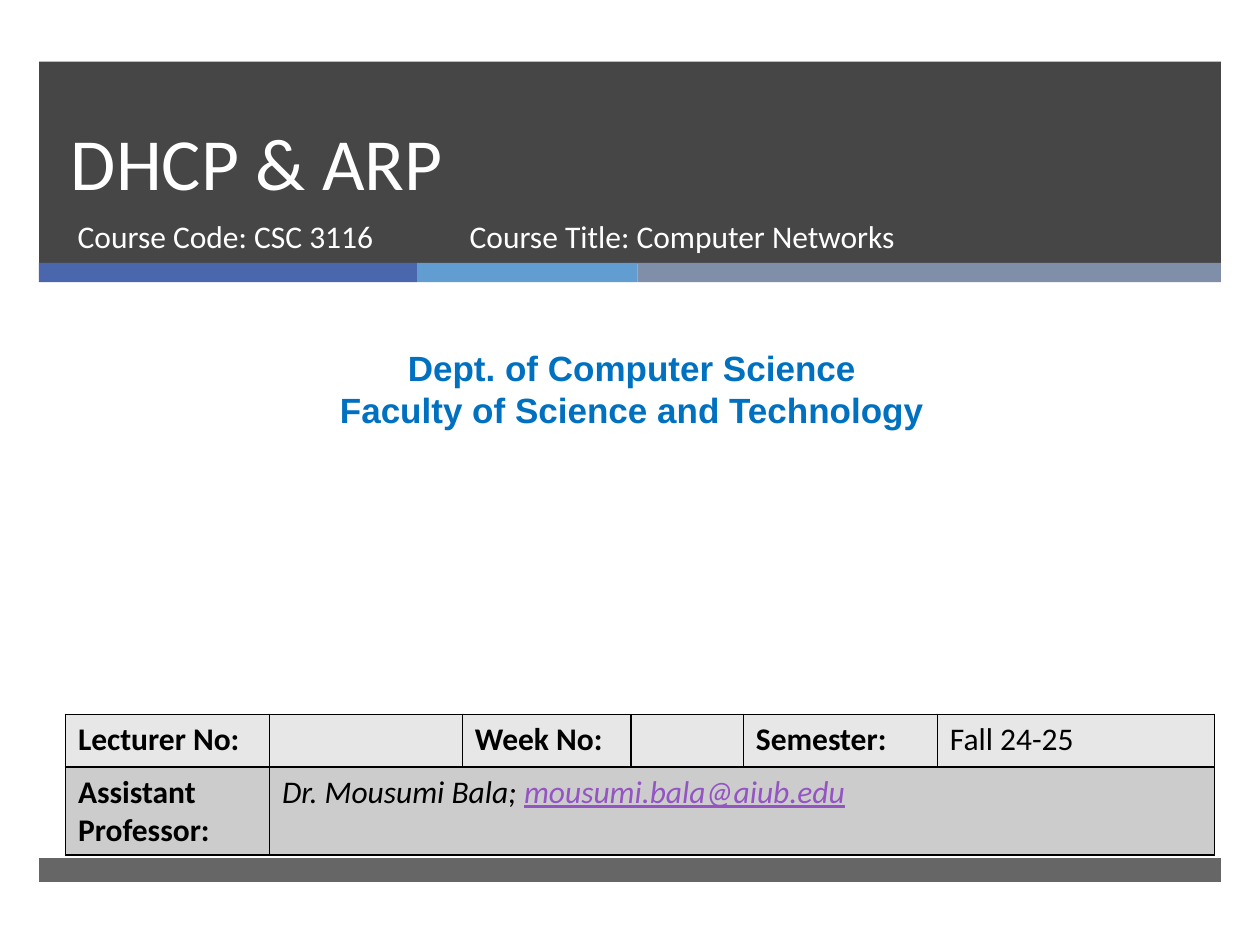
from dataclasses import dataclass

from lxml.etree import SubElement
from pptx import Presentation
from pptx.dml.color import RGBColor as RGB
from pptx.enum.shapes import MSO_SHAPE as Shape
from pptx.enum.text import MSO_ANCHOR as Anchor, MSO_AUTO_SIZE as AutoSize, PP_ALIGN as Align
from pptx.oxml import parse_xml
from pptx.oxml.ns import nsdecls, qn
from pptx.util import Pt


@dataclass(frozen=True)
class Theme:
    """Colours, fonts and type sizes of the slide."""
    dark: str = "262626"
    accents: tuple = ("4A66AC", "629DD1", "7F8FA9")
    light: str = "FFFFFF"
    ink: str = "000000"
    department: str = "0070C0"
    email: str = "9454C3"
    rows: tuple = ("E7E7E7", "CCCCCC")
    body_font: str = "Calibri"
    department_font: str = "Arial"
    title_size: int = 42
    department_size: int = 20
    body_size: int = 18


THEME = Theme()


def style(run, color, size=THEME.body_size, font=THEME.body_font, bold=False, italic=False):
    """Format one run."""
    run.font.name, run.font.size = font, Pt(size)
    run.font.bold, run.font.italic = bold, italic
    run.font.color.rgb = RGB.from_string(color)


def add_bar(slide, box, color, opacity=100):
    """Draw a borderless rectangle with the given opacity in percent."""
    bar = slide.shapes.add_shape(Shape.RECTANGLE, *map(Pt, box))
    bar.shadow.inherit = False
    bar.line.fill.background()
    bar.fill.solid()
    bar.fill.fore_color.rgb = RGB.from_string(color)
    if opacity < 100:
        tint = bar.element.spPr.find(f".//{qn('a:srgbClr')}")
        SubElement(tint, qn("a:alpha"), val=str(opacity * 1000))


def add_text(slide, box, lines, align=Align.LEFT, **run_style):
    """Place a wrapped text box with one paragraph per line."""
    frame = slide.shapes.add_textbox(*map(Pt, box)).text_frame
    frame.word_wrap = True
    frame.text = "\n".join(lines)
    for paragraph in frame.paragraphs:
        paragraph.alignment = align
        style(paragraph.runs[0], **run_style)


def add_header(slide, box):
    """Build the dark band with the title, the course lines and the accent strip."""
    left, top, width, height = box
    strip_height = 11
    band_height = height - strip_height
    add_bar(slide, (left, top, width, band_height + 0.5), THEME.dark, 85)
    x = left
    accent_widths = (216, 126, width - 342)
    for color, accent_width in zip(THEME.accents, accent_widths):
        add_bar(slide, (x, top + band_height, accent_width, strip_height), color)
        x += accent_width

    title = slide.shapes.title
    title.element.getparent().append(title.element)
    title.left, title.top, title.width, title.height = map(Pt, (left + 11, top, 615, 85.5))
    frame = title.text_frame
    frame.text = "DHCP & ARP"
    frame.vertical_anchor, frame.auto_size = Anchor.BOTTOM, AutoSize.NONE
    heading = frame.paragraphs[0]
    heading.alignment, heading.line_spacing = Align.LEFT, Pt(46)
    style(heading.runs[0], THEME.light, THEME.title_size)

    for offset, line_width, line in (
        (15, 220, "Course Code: CSC 3116"),
        (239, 328, "Course Title: Computer Networks"),
    ):
        add_text(slide, (left + offset, top + 85.5, line_width, 38), [line], color=THEME.light)


def add_department(slide, box):
    """Place the centred department and faculty names."""
    add_text(slide, box, ["Dept. of Computer Science", "Faculty of Science and Technology"],
             Align.CENTER, color=THEME.department, size=THEME.department_size,
             font=THEME.department_font, bold=True)


def format_cell(cell, color):
    """Fill a cell and give it thin dark borders."""
    cell.fill.solid()
    cell.fill.fore_color.rgb = RGB.from_string(color)
    properties = cell._tc.get_or_add_tcPr()
    for index, side in enumerate("LRTB"):
        properties.insert(index, parse_xml(
            f'<a:ln{side} {nsdecls("a")} w="12700"><a:solidFill>'
            f'<a:srgbClr val="{THEME.ink}"/></a:solidFill></a:ln{side}>'))


def add_lecture_table(slide, box):
    """Build the table of lecture details and the lecturer's contact."""
    column_widths = (116.6, 110.2, 96.5, 64.1, 110.9, 158.4)
    row_heights = (30, 50)
    table = slide.shapes.add_table(2, len(column_widths), *map(Pt, box)).table
    for column, width in zip(table.columns, column_widths):
        column.width = Pt(width)
    for row, height, color in zip(table.rows, row_heights, THEME.rows):
        row.height = Pt(height)
        for cell in row.cells:
            format_cell(cell, color)

    details = {
        (0, 0): "Lecturer No:", (0, 2): "Week No:", (0, 4): "Semester:",
        (0, 5): "Fall 24-25", (1, 0): "Assistant Professor:",
    }
    for position, text in details.items():
        cell = table.cell(*position)
        cell.text = text
        style(cell.text_frame.paragraphs[0].runs[0], THEME.ink, bold=text.endswith(":"))

    contact = table.cell(1, 1)
    contact.merge(table.cell(1, 5))
    contact.text = "Dr. Mousumi Bala; "
    paragraph = contact.text_frame.paragraphs[0]
    style(paragraph.runs[0], THEME.ink, italic=True)
    email = paragraph.add_run()
    email.text = "mousumi.bala@aiub.edu"
    style(email, THEME.email, italic=True)
    email.font.underline = True


def main():
    """Build and save the slide."""
    deck = Presentation()
    deck.slide_width, deck.slide_height = Pt(720), Pt(540)
    slide = deck.slides.add_slide(deck.slide_layouts[5])
    add_header(slide, (22.3, 35.2, 675.4, 126))
    add_bar(slide, (22.3, 490.3, 675.4, 13.7), THEME.dark, 70)
    add_department(slide, (5.8, 194.4, 710.6, 55.4))
    add_lecture_table(slide, (37.4, 408.2, 656.7, 80))
    deck.save("out.pptx")


if __name__ == "__main__":
    main()
